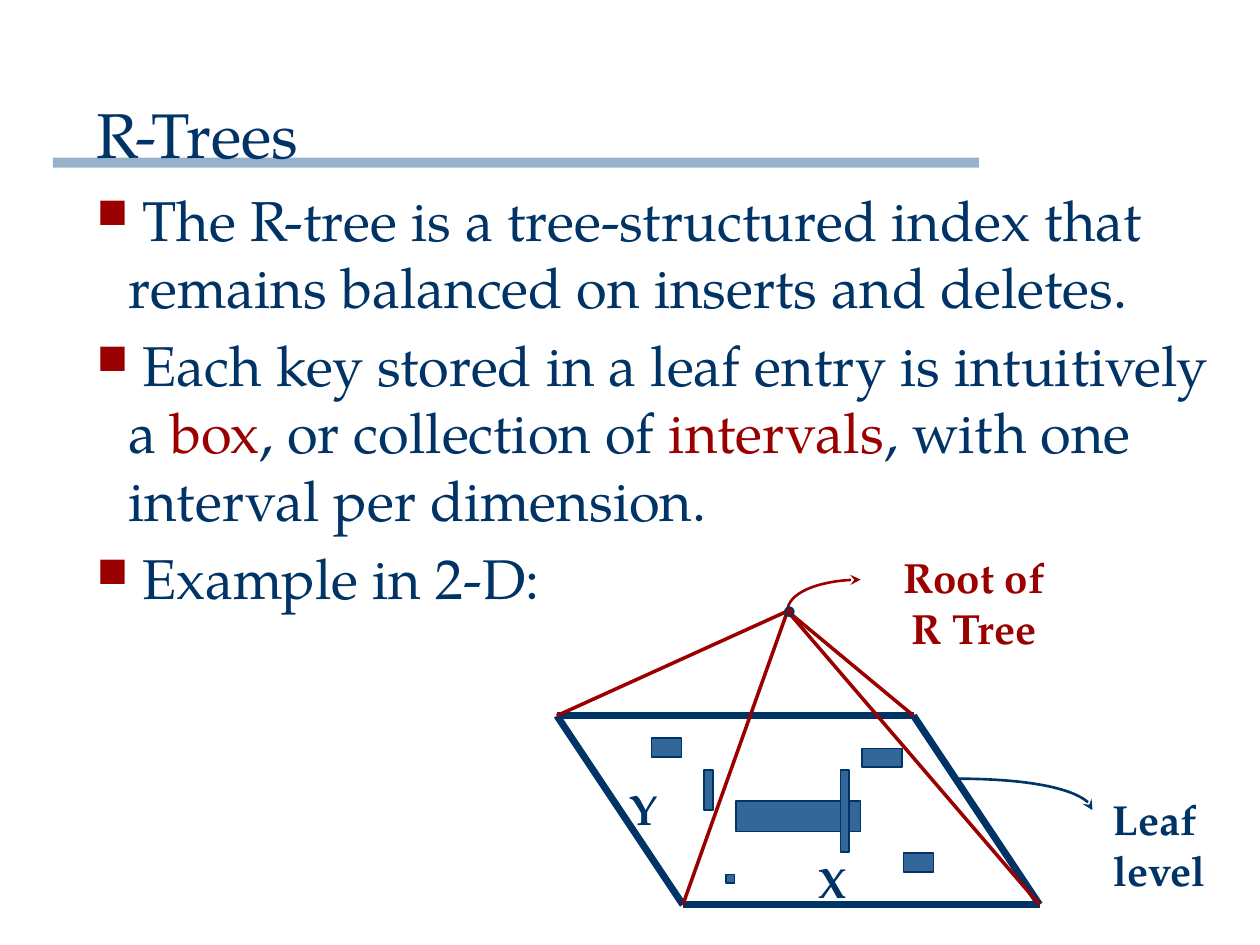
from lxml import etree
from pptx import Presentation
from pptx.dml.color import RGBColor
from pptx.enum.shapes import MSO_CONNECTOR, MSO_SHAPE
from pptx.enum.text import MSO_ANCHOR, PP_ALIGN
from pptx.oxml.ns import qn
from pptx.util import Inches, Pt

STRAIGHT = MSO_CONNECTOR.STRAIGHT
RECTANGLE, OVAL = MSO_SHAPE.RECTANGLE, MSO_SHAPE.OVAL
BOTTOM = MSO_ANCHOR.BOTTOM
LEFT, CENTER = PP_ALIGN.LEFT, PP_ALIGN.CENTER
NAVY = RGBColor(0x00, 0x33, 0x66)
BLUE = RGBColor(0x33, 0x66, 0x99)
RED = RGBColor(0x9A, 0x00, 0x00)
FONT = "TeX Gyre Pagella"

prs = Presentation()
prs.slide_width, prs.slide_height = Inches(10), Inches(7.5)
slide = prs.slides.add_slide(prs.slide_layouts[6])
shapes = slide.shapes


def add_run(paragraph, text, size, color, bold=False):
    run = paragraph.add_run()
    run.text = text
    run.font.name = FONT
    run.font.size = Pt(size)
    run.font.bold = bold
    run.font.color.rgb = color


def add_preset(preset, box, fill, outline=None):
    shape = shapes.add_shape(preset, *map(Inches, box))
    shape.shadow.inherit = False
    shape.fill.solid()
    shape.fill.fore_color.rgb = fill
    if outline is None:
        shape.line.fill.background()
    else:
        shape.line.color.rgb = outline
        shape.line.width = Pt(1)
    return shape


title_bar = add_preset(RECTANGLE, (0.42, 1.25, 7.35, 0.08), BLUE)
bar_color = title_bar.fill._xPr.find(qn("a:solidFill"))[0]
etree.SubElement(bar_color, qn("a:alpha"), val="50000")

title = shapes.add_textbox(Inches(0.67), Inches(0.58), Inches(9.33), Inches(0.83)).text_frame
title.word_wrap = True
title.vertical_anchor = BOTTOM
add_run(title.paragraphs[0], "R-Trees", 36, NAVY)

points = [
    [(" The R-tree is a tree-structured index that remains balanced on inserts and deletes.", NAVY)],
    [
        (" Each key stored in a leaf entry is intuitively a ", NAVY),
        ("box", RED),
        (", or collection of ", NAVY),
        ("intervals", RED),
        (", with one interval per dimension.", NAVY),
    ],
    [(" Example in 2-D:", NAVY)],
]
body = shapes.add_textbox(Inches(0.67), Inches(1.42), Inches(9.25), Inches(5.67)).text_frame
body.word_wrap = True
for index, point in enumerate(points):
    paragraph = body.add_paragraph() if index else body.paragraphs[0]
    paragraph.space_before = Pt(6.4)
    props = paragraph._p.get_or_add_pPr()
    props.set("marL", str(Inches(0.25)))
    props.set("indent", str(-Inches(0.25)))
    bullet_color = etree.SubElement(props, qn("a:buClr"))
    etree.SubElement(bullet_color, qn("a:srgbClr"), val=str(RED))
    etree.SubElement(props, qn("a:buSzPct"), val="75000")
    etree.SubElement(props, qn("a:buChar"), char="■")
    for text, color in point:
        add_run(paragraph, text, 32, color)

root = (6.25, 4.85)
back_left, back_right = (4.42, 5.68), (7.25, 5.68)
front_left, front_right = (5.42, 7.18), (8.25, 7.18)
corners = [back_left, back_right, front_right, front_left]
leaf_edges = [(a, b, NAVY, 4) for a, b in zip(corners, corners[1:] + corners[:1])]
root_edges = [(root, corner, RED, 2) for corner in corners]
for start, end, color, width in leaf_edges + root_edges:
    edge = shapes.add_connector(STRAIGHT, *map(Inches, start + end))
    edge.line.color.rgb = color
    edge.line.width = Pt(width)
    etree.SubElement(edge._element.spPr, qn("a:effectLst"))

key_boxes = [
    (5.17, 5.86, 0.24, 0.15),
    (5.59, 6.11, 0.07, 0.32),
    (5.84, 6.36, 0.99, 0.24),
    (5.76, 6.94, 0.07, 0.07),
    (6.67, 6.11, 0.07, 0.65),
    (7.17, 6.77, 0.24, 0.15),
    (6.84, 5.94, 0.32, 0.15),
]
for key_box in key_boxes:
    add_preset(RECTANGLE, key_box, BLUE, NAVY)

callouts = [
    (root, (6.83, 4.6), (0, 0.45), (0.45, 0), RED),
    ((7.58, 6.18), (8.67, 6.43), (0.55, 0), (1, 0.45), NAVY),
]
for start, end, control_1, control_2, color in callouts:
    builder = shapes.build_freeform(*map(Inches, start))
    builder.add_line_segments([tuple(map(Inches, end))], close=False)
    callout = builder.convert_to_shape()
    callout.shadow.inherit = False
    callout.fill.background()
    callout.line.color.rgb = color
    callout.line.width = Pt(1.5)
    etree.SubElement(callout.line._get_or_add_ln(), qn("a:tailEnd"), type="stealth")
    curve = callout._element.find(".//" + qn("a:lnTo"))
    curve.tag = qn("a:cubicBezTo")
    for position, (x, y) in enumerate((control_1, control_2)):
        control = etree.Element(
            qn("a:pt"), x=str(int(x * callout.width)), y=str(int(y * callout.height))
        )
        curve.insert(position, control)

labels = [
    (["X"], (6.4, 6.75, 0.42, 0.5), NAVY, LEFT),
    (["Y"], (4.9, 6.17, 0.42, 0.5), NAVY, LEFT),
    (["Root of", "R Tree"], (7.07, 4.33, 1.32, 0.9), RED, CENTER),
    (["Leaf ", "level"], (8.73, 6.25, 0.95, 0.9), NAVY, CENTER),
]
for lines, box, color, alignment in labels:
    label = shapes.add_textbox(*map(Inches, box)).text_frame
    label.word_wrap = False
    for index, line in enumerate(lines):
        paragraph = label.add_paragraph() if index else label.paragraphs[0]
        paragraph.alignment = alignment
        add_run(paragraph, line, 24, color, bold=True)

add_preset(OVAL, (6.23, 4.82, 0.07, 0.07), RED, NAVY)

prs.save("out.pptx")
